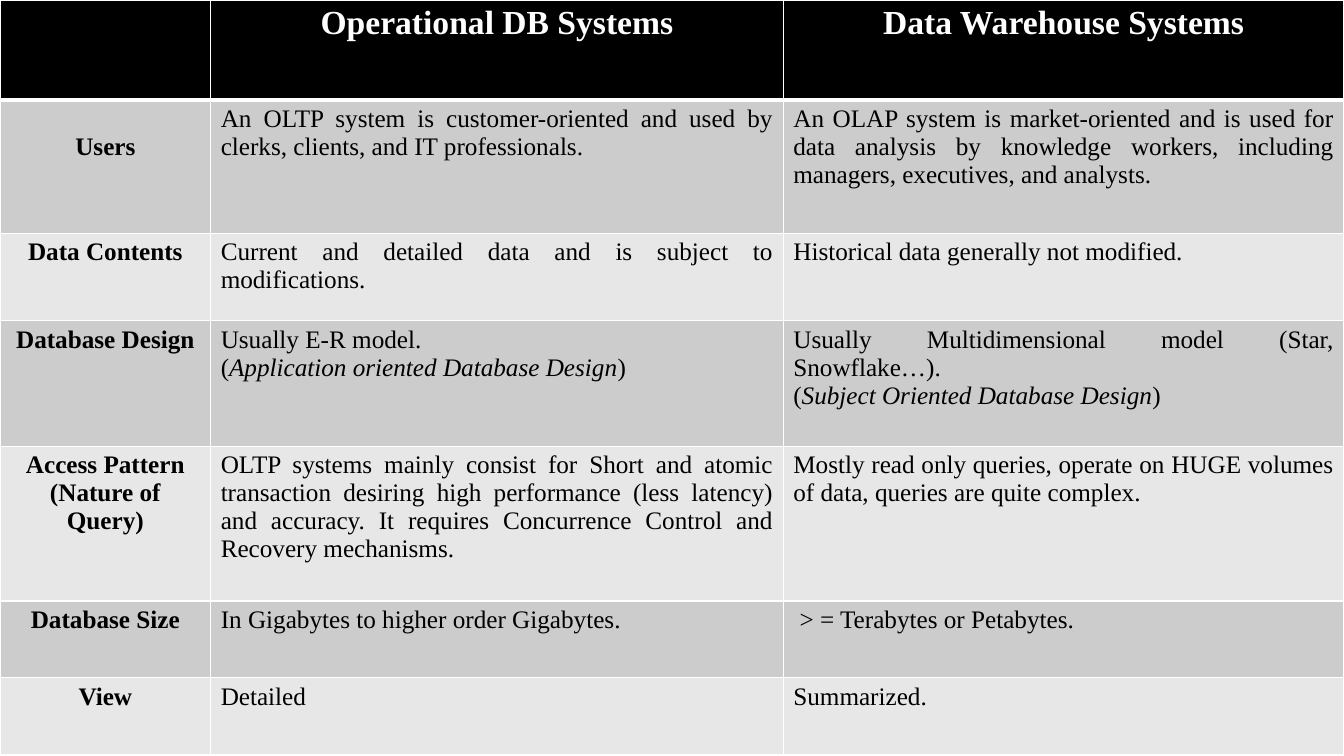
from lxml import etree
from pptx import Presentation
from pptx.dml.color import RGBColor
from pptx.enum.text import PP_ALIGN
from pptx.oxml.ns import qn
from pptx.util import Pt

CENTER, JUSTIFY = PP_ALIGN.CENTER, PP_ALIGN.JUSTIFY
FONT = "Times New Roman"
COLORS = {"header": "000000", "odd": "CCCCCC", "even": "E7E7E7",
          "border": "FFFFFF", "header_text": "FFFFFF", "text": "000000"}
COLUMN_WIDTHS = [150.5, 409, 400.5]
ROW_HEIGHTS = [71.3, 95.3, 62.6, 89.5, 110.6, 55, 55]
SIDES = ["lnL", "lnR", "lnT", "lnB"]
ROWS = [
    ["", "Operational DB Systems", "Data Warehouse Systems"],
    ["Users",
     "An OLTP system is customer-oriented and used by clerks, clients, and IT professionals.",
     "An OLAP system is market-oriented and is used for data analysis by knowledge workers, "
     "including managers, executives, and analysts."],
    ["Data Contents",
     "Current and detailed data and is subject to modifications.",
     "Historical data generally not modified."],
    ["Database Design",
     "Usually E-R model.\n(Application oriented Database Design)",
     "Usually Multidimensional model (Star, Snowflake…).\n(Subject Oriented Database Design)"],
    ["Access Pattern\n(Nature of Query)",
     "OLTP systems mainly consist for Short and atomic transaction desiring high performance "
     "(less latency) and accuracy. It requires Concurrence Control and Recovery mechanisms.",
     "Mostly read only queries, operate on HUGE volumes of data, queries are quite complex."],
    ["Database Size", "In Gigabytes to higher order Gigabytes.", "> = Terabytes or Petabytes."],
    ["View", "Detailed", "Summarized."],
]


def color(name):
    return RGBColor.from_string(COLORS[name])


def set_borders(cell, bottom_width):
    properties = cell._tc.get_or_add_tcPr()
    for index, side in enumerate(SIDES):
        width = bottom_width if side == "lnB" else 1
        line = etree.Element(qn("a:" + side), w=str(Pt(width)))
        fill = etree.SubElement(line, qn("a:solidFill"))
        etree.SubElement(fill, qn("a:srgbClr"), val=COLORS["border"])
        properties.insert(index, line)


def write_paragraph(para, text, italic_inside):
    if italic_inside:
        for part in ("(", text[1:-1], ")"):
            para.add_run().text = part
        para.runs[1].font.italic = True
    else:
        para.text = text


def fill_cell(cell, text, row, column):
    header, label = row == 0, column == 0
    cell.fill.solid()
    cell.fill.fore_color.rgb = color("header" if header else "odd" if row % 2 else "even")
    set_borders(cell, 3 if header else 1)
    for index, line in enumerate(text.split("\n")):
        frame = cell.text_frame
        para = frame.add_paragraph() if index else frame.paragraphs[0]
        write_paragraph(para, line, line.startswith("(") and not label)
        para.alignment = CENTER if header or label else JUSTIFY
        for span in para.runs:
            span.font.name = FONT
            span.font.size = Pt(24 if header else 18)
            span.font.bold = header or label
            span.font.color.rgb = color("header_text" if header else "text")


def add_comparison(page):
    frame = page.shapes.add_table(len(ROWS), len(COLUMN_WIDTHS), Pt(0), Pt(0),
                                  Pt(sum(COLUMN_WIDTHS)), Pt(sum(ROW_HEIGHTS)))
    table = frame.table
    for column, width in zip(table.columns, COLUMN_WIDTHS):
        column.width = Pt(width)
    for row, height in zip(table.rows, ROW_HEIGHTS):
        row.height = Pt(height)
    for row, texts in enumerate(ROWS):
        for column, text in enumerate(texts):
            fill_cell(table.cell(row, column), text, row, column)
    return table


def main():
    deck = Presentation()
    deck.slide_width, deck.slide_height = Pt(960), Pt(540)
    page = deck.slides.add_slide(deck.slide_layouts[6])
    table = add_comparison(page)
    table.cell(1, 0).margin_top = Pt(23.6)
    table.cell(5, 2).margin_left = Pt(11.7)
    deck.save("out.pptx")


if __name__ == "__main__":
    main()
